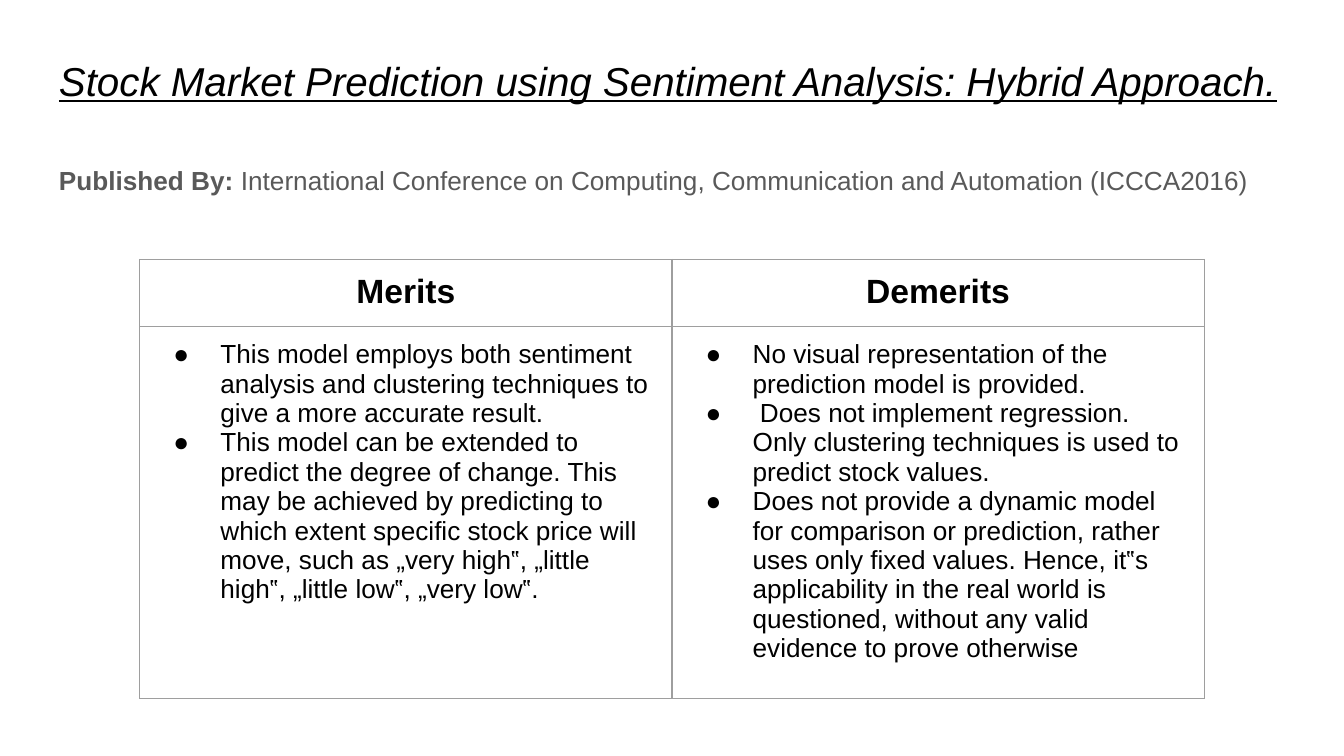
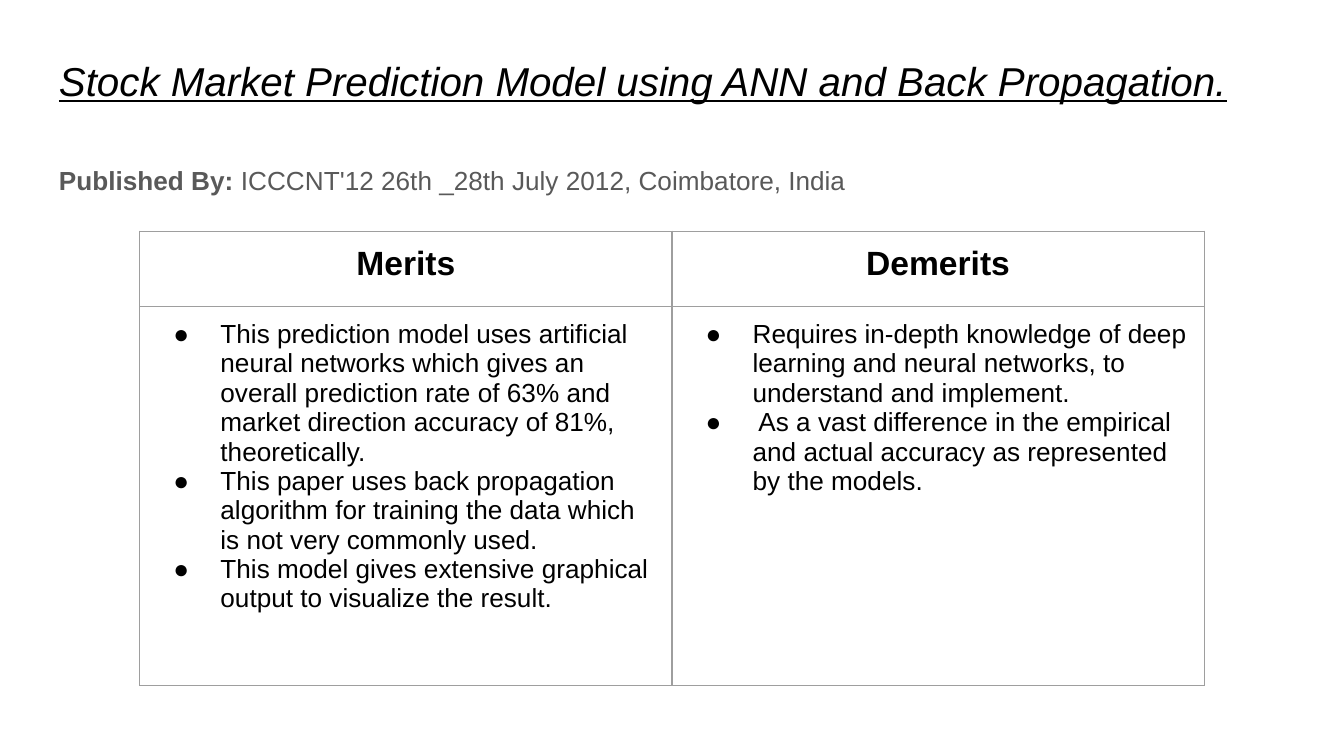
from lxml.etree import SubElement
from pptx import Presentation
from pptx.dml.color import RGBColor
from pptx.enum.text import MSO_ANCHOR, PP_ALIGN
from pptx.oxml.ns import qn
from pptx.util import Inches, Pt

COLORS = {"ink": "000000", "muted": "595959", "border": "9E9E9E", "paper": "FFFFFF"}
FONT = "Arial"
SLIDE_WIDTH = 10
INSET = Inches(0.1)
BORDER_WIDTH = Pt(0.75)
COLUMN_WIDTH = 3.96
HEADINGS = ("Merits", "Demerits")

PAPERS = [
    {
        "title": "Stock Market Prediction using Sentiment Analysis: Hybrid Approach.",
        "publisher": "International Conference on Computing, Communication and Automation (ICCCA2016)",
        "top": 1.93,
        "row_heights": (0.42, 0.42),
        "points": (
            [
                "This model employs both sentiment analysis and clustering techniques to give a more accurate result.",
                "This model can be extended to predict the degree of change. This may be achieved by predicting to "
                "which extent specific stock price will move, such as „very high‟, „little high‟, „little low‟, "
                "„very low‟.",
            ],
            [
                "No visual representation of the prediction model is provided.",
                " Does not implement regression. Only clustering techniques is used to predict stock values.",
                "Does not provide a dynamic model for comparison or prediction, rather uses only fixed values. "
                "Hence, it‟s applicability in the real world is questioned, without any valid evidence to prove "
                "otherwise",
            ],
        ),
    },
    {
        "title": "Stock Market Prediction Model using ANN and Back Propagation.",
        "publisher": "ICCCNT'12 26th _28th July 2012, Coimbatore, India",
        "top": 1.72,
        "row_heights": (0.56, 2.82),
        "points": (
            [
                "This prediction model uses artificial neural networks which gives an overall prediction rate of "
                "63% and market direction accuracy of 81%, theoretically.",
                "This paper uses back propagation algorithm for training the data which is not very commonly used.",
                "This model gives extensive graphical output to visualize the result.",
            ],
            [
                "Requires in-depth knowledge of deep learning and neural networks, to understand and implement.",
                " As a vast difference in the empirical and actual accuracy as represented by the models.",
            ],
        ),
    },
]


class Deck:
    def __init__(self):
        self.presentation = Presentation()
        self.presentation.slide_width = Inches(SLIDE_WIDTH)
        self.presentation.slide_height = Inches(SLIDE_WIDTH * 9 / 16)
        self.slide = None

    def add_slide(self):
        self.slide = self.presentation.slides.add_slide(self.presentation.slide_layouts[6])
        background = self.slide.background.fill
        background.solid()
        background.fore_color.rgb = RGBColor.from_string(COLORS["paper"])

    def style(self, font, size, color="ink", bold=False):
        font.name = FONT
        font.size = Pt(size)
        font.bold = bold
        font.color.rgb = RGBColor.from_string(COLORS[color])

    def inset(self, area):
        area.margin_left = area.margin_right = area.margin_top = area.margin_bottom = INSET

    def text_area(self, top, height):
        frame = self.slide.shapes.add_textbox(
            Inches(0.34), Inches(top), Inches(9.32), Inches(height)
        ).text_frame
        frame.word_wrap = True
        frame.vertical_anchor = MSO_ANCHOR.TOP
        self.inset(frame)
        return frame.paragraphs[0]

    def title(self, text):
        heading = self.text_area(0.32, 0.63)
        heading.text = text
        self.style(heading.font, 21.6)
        heading.font.italic = True
        heading.font.underline = True

    def publication(self, publisher):
        line = self.text_area(1.09, 3.74)
        line.line_spacing = 1.15
        self.style(line.font, 14, "muted")
        label = line.add_run()
        label.text = "Published By:"
        label.font.bold = True
        line.add_run().text = f" {publisher}"

    def bullet(self, paragraph):
        properties = paragraph._p.get_or_add_pPr()
        properties.set("marL", str(Inches(0.5)))
        properties.set("indent", str(Inches(-0.35)))
        bullet_color = SubElement(properties, qn("a:buClr"))
        SubElement(bullet_color, qn("a:srgbClr"), val=COLORS["ink"])
        SubElement(properties, qn("a:buFont"), typeface=FONT)
        SubElement(properties, qn("a:buChar"), char="●")
        default_font = properties.find(qn("a:defRPr"))
        if default_font is not None:
            properties.append(default_font)

    def frame_cell(self, cell):
        self.inset(cell)
        properties = cell._tc.get_or_add_tcPr()
        for side in ("lnL", "lnR", "lnT", "lnB"):
            border = SubElement(properties, qn(f"a:{side}"), w=str(BORDER_WIDTH))
            fill = SubElement(border, qn("a:solidFill"))
            SubElement(fill, qn("a:srgbClr"), val=COLORS["border"])
        cell.fill.background()

    def comparison(self, top, row_heights, points):
        table = self.slide.shapes.add_table(
            2, 2, Inches(1.04), Inches(top), Inches(2 * COLUMN_WIDTH), Inches(sum(row_heights))
        ).table
        table.first_row = table.horz_banding = False
        for row, height in zip(table.rows, row_heights):
            row.height = Inches(height)
        for index, (heading, items) in enumerate(zip(HEADINGS, points)):
            table.columns[index].width = Inches(COLUMN_WIDTH)
            head, body = table.cell(0, index), table.cell(1, index)
            self.frame_cell(head)
            self.frame_cell(body)
            head.text = heading
            caption = head.text_frame.paragraphs[0]
            caption.alignment = PP_ALIGN.CENTER
            self.style(caption.font, 18, bold=True)
            body.text = "\n".join(items)
            for paragraph in body.text_frame.paragraphs:
                self.style(paragraph.font, 14)
                self.bullet(paragraph)


def main():
    deck = Deck()
    for paper in PAPERS:
        deck.add_slide()
        deck.title(paper["title"])
        deck.publication(paper["publisher"])
        deck.comparison(paper["top"], paper["row_heights"], paper["points"])
    deck.presentation.save("out.pptx")


if __name__ == "__main__":
    main()
